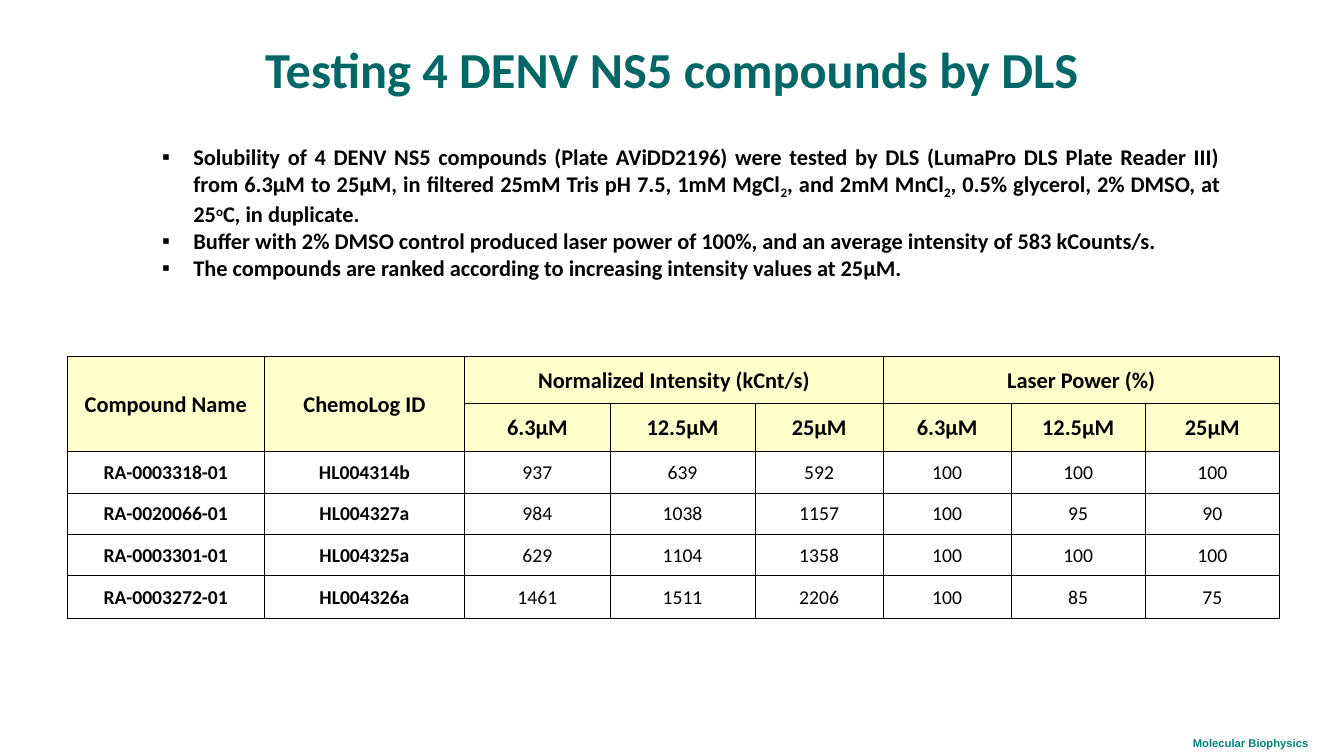
from lxml.etree import SubElement
from pptx import Presentation
from pptx.dml.color import RGBColor
from pptx.enum.text import MSO_ANCHOR, PP_ALIGN
from pptx.oxml.ns import qn
from pptx.util import Inches, Pt

BLACK = "000000"
HEADER_FILL = "FFFFCC"
COLUMN_WIDTHS = [1.95, 1.99, 1.44, 1.44, 1.27, 1.27, 1.33, 1.33]
ROW_HEIGHTS = [0.46, 0.48, 0.41, 0.41, 0.41, 0.43]
HEADER_ROWS = 2
GROUP_COLUMN_EDGES = {0, 2, 5, 8}
GROUP_ROW_EDGES = {0, 2, 6}
HEADER_SPANS = [(0, 0, 1, 0), (0, 1, 1, 1), (0, 2, 0, 4), (0, 5, 0, 7)]
CONCENTRATIONS = ["6.3µM", "12.5µM", "25µM"]
RESULTS = [
    ["Compound Name", "ChemoLog ID", "Normalized Intensity (kCnt/s)", "", "",
     "Laser Power (%)", "", ""],
    ["", "", *CONCENTRATIONS, *CONCENTRATIONS],
    ["RA-0003318-01", "HL004314b", "937", "639", "592", "100", "100", "100"],
    ["RA-0020066-01", "HL004327a", "984", "1038", "1157", "100", "95", "90"],
    ["RA-0003301-01", "HL004325a", "629", "1104", "1358", "100", "100", "100"],
    ["RA-0003272-01", "HL004326a", "1461", "1511", "2206", "100", "85", "75"],
]
SUBSCRIPT, SUPERSCRIPT = -25, 30
FINDINGS = [
    [("Solubility of 4 DENV NS5 compounds (Plate AViDD2196) were tested by DLS "
      "(LumaPro DLS Plate Reader III) from 6.3µM to 25µM, in filtered 25mM Tris "
      "pH 7.5, 1mM MgCl", 0),
     ("2", SUBSCRIPT), (", and 2mM MnCl", 0), ("2", SUBSCRIPT),
     (", 0.5% glycerol, 2% DMSO, at 25", 0), ("o", SUPERSCRIPT),
     ("C, in duplicate. ", 0)],
    [("Buffer with 2% DMSO control produced laser power of 100%, and an average "
      "intensity of 583 kCounts/s.", 0)],
    [("The compounds are ranked according to increasing intensity values at 25µM.", 0)],
]


def rgb(code):
    return RGBColor.from_string(code)


def add_run(paragraph, text, size, color=BLACK, bold=True, font="Calibri", baseline=0):
    run = paragraph.add_run()
    run.text = text
    run.font.size = Pt(size)
    run.font.name = font
    run.font.bold = bold
    run.font.color.rgb = rgb(color)
    if baseline:
        run.font._element.set("baseline", str(baseline * 1000))


def add_text_frame(slide, left, top, width, height):
    frame = slide.shapes.add_textbox(
        Inches(left), Inches(top), Inches(width), Inches(height)).text_frame
    frame.word_wrap = True
    return frame


def add_centered_line(slide, place, text, size, color, font):
    paragraph = add_text_frame(slide, *place).paragraphs[0]
    paragraph.alignment = PP_ALIGN.CENTER
    add_run(paragraph, text, size, color, font=font)


def add_bullet(paragraph):
    properties = paragraph._p.get_or_add_pPr()
    properties.set("marL", str(Inches(0.69)))
    properties.set("indent", str(Inches(-0.31)))
    SubElement(properties, qn("a:buFont")).set("typeface", "Arial")
    SubElement(properties, qn("a:buChar")).set("char", "▪")


def add_findings(slide):
    frame = add_text_frame(slide, 1.13, 1.37, 11.07, 1.45)
    for index, pieces in enumerate(FINDINGS):
        paragraph = frame.add_paragraph() if index else frame.paragraphs[0]
        paragraph.alignment = PP_ALIGN.JUSTIFY
        paragraph.level = 1
        add_bullet(paragraph)
        for text, baseline in pieces:
            add_run(paragraph, text, 16, baseline=baseline)


def draw_borders(cell, row, column):
    bottom = row + (cell.span_height if cell.is_merge_origin else 1)
    right = column + (cell.span_width if cell.is_merge_origin else 1)
    heavy_edges = {
        "a:lnL": column in GROUP_COLUMN_EDGES,
        "a:lnR": right in GROUP_COLUMN_EDGES,
        "a:lnT": row in GROUP_ROW_EDGES,
        "a:lnB": bottom in GROUP_ROW_EDGES,
    }
    properties = cell._tc.get_or_add_tcPr()
    for edge, heavy in heavy_edges.items():
        line = SubElement(properties, qn(edge))
        line.set("w", str(Pt(1 if heavy else 0.5)))
        fill = SubElement(line, qn("a:solidFill"))
        SubElement(fill, qn("a:srgbClr")).set("val", BLACK)


def fill_cell(cell, row, column, text):
    header = row < HEADER_ROWS
    draw_borders(cell, row, column)
    if header:
        cell.fill.solid()
        cell.fill.fore_color.rgb = rgb(HEADER_FILL)
    else:
        cell.fill.background()
    cell.margin_left = cell.margin_right = cell.margin_top = Inches(0.01)
    cell.margin_bottom = 0
    cell.vertical_anchor = MSO_ANCHOR.MIDDLE
    if text:
        paragraph = cell.text_frame.paragraphs[0]
        paragraph.alignment = PP_ALIGN.CENTER
        add_run(paragraph, text, 16 if header else 14, bold=header or column < 2)


def add_results_table(slide):
    table = slide.shapes.add_table(
        len(ROW_HEIGHTS), len(COLUMN_WIDTHS),
        Inches(0.67), Inches(3.54), Inches(12), Inches(2.61)).table
    table.first_row = False
    table.horz_banding = False
    for column, width in zip(table.columns, COLUMN_WIDTHS):
        column.width = Inches(width)
    for row, height in zip(table.rows, ROW_HEIGHTS):
        row.height = Inches(height)
    for top, left, bottom, right in HEADER_SPANS:
        table.cell(top, left).merge(table.cell(bottom, right))
    for row, values in enumerate(RESULTS):
        for column, text in enumerate(values):
            fill_cell(table.cell(row, column), row, column, text)


def main():
    presentation = Presentation()
    presentation.slide_width = Inches(13.33)
    presentation.slide_height = Inches(7.5)
    slide = presentation.slides.add_slide(presentation.slide_layouts[6])
    add_centered_line(slide, (11.48, 7.26, 1.85, 0.23),
                      "Molecular Biophysics", 8, "008080", "Arial")
    add_findings(slide)
    add_centered_line(slide, (0, 0.33, 13.33, 0.71),
                      "Testing 4 DENV NS5 compounds by DLS", 36, "006666", "Calibri")
    add_results_table(slide)
    presentation.save("out.pptx")


if __name__ == "__main__":
    main()
